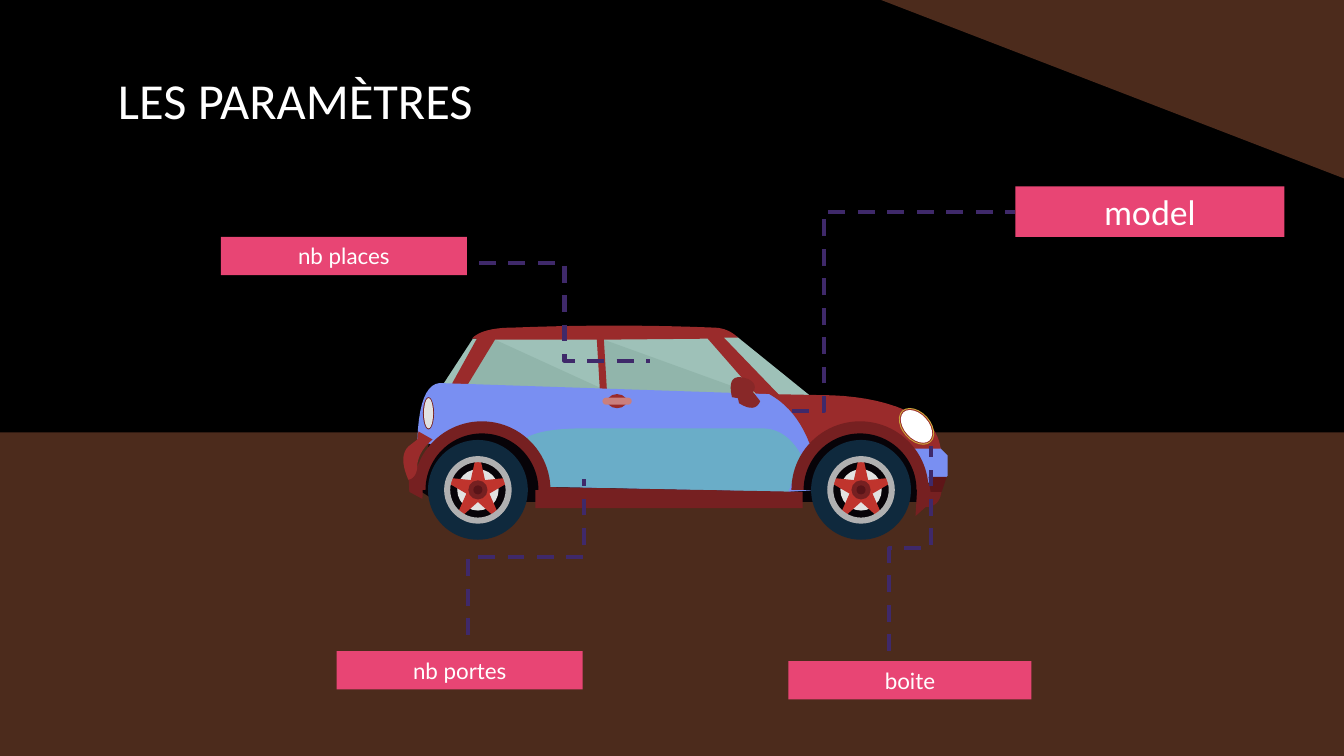
"""Build the slide that labels the parameters of a car."""
from math import cos, pi, sin

from lxml.etree import SubElement
from pptx import Presentation
from pptx.dml.color import RGBColor
from pptx.enum.dml import MSO_LINE
from pptx.enum.shapes import MSO_CONNECTOR, MSO_SHAPE
from pptx.enum.text import MSO_ANCHOR, PP_ALIGN
from pptx.oxml.ns import qn
from pptx.util import Inches, Pt

BLACK = RGBColor.from_string("000000")
WHITE = RGBColor.from_string("FFFFFF")
ORANGE = RGBColor.from_string("EE875A")
PINK = RGBColor.from_string("E84574")
PURPLE = RGBColor.from_string("3F296A")
INK = RGBColor.from_string("070308")
GLASS = RGBColor.from_string("9EC1B8")
GLASS_SHADE = RGBColor.from_string("91B5AB")
MAROON = RGBColor.from_string("762021")
RED = RGBColor.from_string("9A2B2B")
MIRROR_RED = RGBColor.from_string("882828")
BUMPER_RED = RGBColor.from_string("5E1618")
HUB_RED = RGBColor.from_string("591418")
STAR_RED = RGBColor.from_string("C0342D")
BLUE = RGBColor.from_string("798FF2")
DOOR_BLUE = RGBColor.from_string("6AADC8")
TYRE = RGBColor.from_string("0F293D")
SILVER = RGBColor.from_string("B0B0B1")
LIGHT_GREY = RGBColor.from_string("E2E2E1")
GOLD = RGBColor.from_string("CEAC3B")
ROSE = RGBColor.from_string("CA7F7D")

CURVE_STEPS = 10
SPOKES = 5
WHEEL_Y = 4.86
WHEELS = [(4.74, 4.78), (8.54, 8.53)]

BODY_PARTS = [
    (INK, [(4.3, 4.2), (4.15, 4.86), (4.34, 4.98), (9.12, 4.98), (9.1, 4.3)]),
    (GLASS, [(4.69, 3.36), (4.39, 3.82), (8.04, 3.93), (7.31, 3.34)]),
    (GLASS_SHADE, [(4.91, 3.37), (4.6, 3.83), (7.35, 4.06), (7.51, 3.92), (5.99, 3.37),
                   (5.98, 3.86)]),
    (RED, [(4.47, 3.83), (4.73, 3.36), (4.68, 3.36), (4.78, 3.25, 5.1, 3.25),
           (6.1, 3.21, 7.07, 3.25), (7.22, 3.25, 7.32, 3.35), (7.18, 3.35), (7.73, 3.92),
           (7.51, 3.92), (7.02, 3.36), (5.99, 3.37), (6.02, 3.87), (5.95, 3.87),
           (5.92, 3.37), (4.91, 3.37), (4.63, 3.83)]),
    (BLUE, [(4.36, 3.8), (4.16, 3.82, 4.14, 4.36), (5.45, 4.83), (7.82, 4.88), (9.34, 4.78),
            (9.4, 4.72), (9.4, 4.52), (9.33, 4.45), (9.14, 4.15), (7.63, 3.91)]),
    (DOOR_BLUE, [(5.21, 4.35), (5.36, 4.25, 5.8, 4.25), (7.56, 4.25), (7.8, 4.25, 7.95, 4.52),
                 (7.82, 4.88), (5.45, 4.83)]),
    (RED, [(7.63, 3.91), (7.9, 4.06, 8.03, 4.4), (8.53, 4.45), (9.33, 4.45),
           (9.3, 4.25, 9.14, 4.15), (8.75, 3.92, 8.13, 3.92)]),
    (MAROON, [(5.31, 5.04), (7.96, 5.04), (7.96, 4.88), (5.31, 4.83)]),
    (MAROON, [(4.05, 4.7), (4.06, 4.88), (4.19, 4.95), (4.2, 4.6)]),
    (MAROON, [(9.1, 4.8), (9.08, 5.12), (9.18, 5.03), (9.35, 5.03, 9.34, 4.8)]),
    (BUMPER_RED, [(9.21, 4.73), (9.23, 4.88), (9.34, 4.88), (9.39, 4.73)]),
    (MIRROR_RED, [(7.26, 3.94), (7.2, 3.68, 7.42, 3.76), (7.52, 3.81, 7.47, 3.89),
                  (7.54, 3.98), (7.49, 4.1, 7.33, 4), (7.32, 3.95)]),
]
REAR_BUMPER = [(4.15, 4.28), (4.14, 4.36), (4.05, 4.43), (3.95, 4.53, 4.05, 4.76),
               (4.14, 4.74, 4.14, 4.6), (4.16, 4.47, 4.29, 4.36)]
LABELS = [
    ("nb places", (2.19, 2.35, 2.44, 0.38), 16),
    ("nb portes", (3.34, 6.46, 2.44, 0.38), 16),
    ("boite", (7.82, 6.56, 2.41, 0.38), 16),
    ("model", (10.07, 1.85, 2.67, 0.5), 24),
]


def write_text(shape, text, size, font, align=PP_ALIGN.LEFT, color=WHITE):
    """Put one formatted line of text in the middle of a shape."""
    frame = shape.text_frame
    frame.word_wrap = True
    frame.vertical_anchor = MSO_ANCHOR.MIDDLE
    frame.margin_left = frame.margin_right = Inches(0.13)
    frame.margin_top = frame.margin_bottom = Inches(0.13)
    paragraph = frame.paragraphs[0]
    paragraph.alignment = align
    run = paragraph.add_run()
    run.text = text
    run.font.size, run.font.name = Pt(size), font
    run.font.color.rgb = color


def flatten(outline):
    """Return the points of an outline, sampling each curve given as control and end."""
    points = []
    for segment in outline:
        if len(segment) == 2:
            points.append(segment)
            continue
        start, control, end = points[-1], segment[:2], segment[2:]
        for step in range(1, CURVE_STEPS + 1):
            t = step / CURVE_STEPS
            points.append(tuple((1 - t) ** 2 * a + 2 * t * (1 - t) * b + t * t * c
                                for a, b, c in zip(start, control, end)))
    return points


def spoke_star(x, y):
    """Return the outline of a wheel's blunt five-pointed star."""
    corners = []
    for spoke in range(SPOKES):
        middle = 2 * pi * spoke / SPOKES - pi / 2
        for radius, turn in ((0.29, -0.1), (0.29, 0.1), (0.12, pi / SPOKES)):
            corners.append((x + radius * cos(middle + turn), y + radius * sin(middle + turn)))
    return corners


class SlidePainter:
    """Draw flat shapes, labels and dashed leaders on one slide."""

    def __init__(self, slide):
        self.slide = slide
        self.shapes = slide.shapes

    def paint(self, shape, color):
        shape.shadow.inherit = False
        shape.fill.solid()
        shape.fill.fore_color.rgb = color
        shape.line.fill.background()
        return shape

    def preset(self, kind, box, color, opacity=None):
        shape = self.paint(self.shapes.add_shape(kind, *map(Inches, box)), color)
        if opacity is not None:
            solid = shape._element.spPr.find(qn("a:solidFill"))
            SubElement(solid[0], qn("a:alpha")).set("val", str(opacity * 1000))
        return shape

    def outline(self, segments, color):
        points = [(Inches(x), Inches(y)) for x, y in flatten(segments)]
        builder = self.shapes.build_freeform(*points[0])
        builder.add_line_segments(points[1:], close=True)
        return self.paint(builder.convert_to_shape(), color)

    def disc(self, x, y, width, color, height=None, kind=MSO_SHAPE.OVAL):
        height = height or width
        return self.preset(kind, (x - width / 2, y - height / 2, width, height), color)

    def arch(self, x):
        for size, color in ((1.36, MAROON), (1.12, INK)):
            half = self.disc(x, WHEEL_Y, size, color, kind=MSO_SHAPE.BLOCK_ARC)
            half.adjustments[2] = 0.5

    def wheel(self, x):
        for size, color in ((0.99, TYRE), (0.63, INK), (0.41, LIGHT_GREY)):
            self.disc(x, WHEEL_Y, size, color)
        self.outline(spoke_star(x, WHEEL_Y), STAR_RED)
        self.disc(x, WHEEL_Y, 0.67, SILVER, kind=MSO_SHAPE.DONUT).adjustments[0] = 0.09
        for size, color in ((0.19, MAROON), (0.09, HUB_RED)):
            self.disc(x, WHEEL_Y, size, color)

    def label(self, text, box, size):
        shape = self.preset(MSO_SHAPE.RECTANGLE, box, PINK)
        write_text(shape, text, size=size, font="Lato", align=PP_ALIGN.CENTER)

    def leader(self, start, end, upright=False, bend=50):
        (x1, y1), (x2, y2) = start, end
        if upright:
            x, y, half_width, half_height = (x1 + x2) / 2, (y1 + y2) / 2, (y1 - y2) / 2, (x2 - x1) / 2
            x1, y1, x2, y2 = x - half_width, y - half_height, x + half_width, y + half_height
        connector = self.shapes.add_connector(MSO_CONNECTOR.ELBOW, *map(Inches, (x1, y1, x2, y2)))
        connector.line.color.rgb = PURPLE
        connector.line.width = Pt(3)
        connector.line.dash_style = MSO_LINE.DASH
        properties = connector._element.spPr
        if upright:
            properties.find(qn("a:xfrm")).set("rot", str(270 * 60000))
        guides = properties.find(qn("a:prstGeom")).find(qn("a:avLst"))
        guide = SubElement(guides, qn("a:gd"))
        guide.set("name", "adj1")
        guide.set("fmla", f"val {bend * 1000}")
        SubElement(properties, qn("a:effectLst"))

    def car(self):
        self.shapes = self.slide.shapes.add_group_shape().shapes
        for color, segments in BODY_PARTS:
            self.outline(segments, color)
        for wheel_x, arch_x in WHEELS:
            self.arch(arch_x)
            self.wheel(wheel_x)
        self.outline(REAR_BUMPER, RED)
        for trim, color in ((0, GOLD), (0.02, RED), (0.04, WHITE)):
            self.disc(9.09, 4.23, 0.42 - trim, color, height=0.28 - trim).rotation = 48
        self.disc(4.25, 4.1, 0.11, MAROON, height=0.32)
        self.disc(4.25, 4.1, 0.09, LIGHT_GREY, height=0.3)
        self.disc(6.12, 3.98, 0.19, RED, height=0.14)
        handle = self.disc(6.12, 3.98, 0.29, ROSE, height=0.07, kind=MSO_SHAPE.ROUNDED_RECTANGLE)
        handle.adjustments[0] = 0.5
        self.shapes = self.slide.shapes


def main():
    presentation = Presentation()
    presentation.slide_width, presentation.slide_height = Inches(13.33), Inches(7.5)
    slide = presentation.slides.add_slide(presentation.slide_layouts[6])
    slide.background.fill.solid()
    slide.background.fill.fore_color.rgb = BLACK
    painter = SlidePainter(slide)
    painter.preset(MSO_SHAPE.RECTANGLE, (0, 4.29, 13.33, 3.21), ORANGE, opacity=32)
    corner = painter.preset(MSO_SHAPE.RIGHT_TRIANGLE, (8.74, 0, 4.59, 1.77), ORANGE, opacity=32)
    corner.rotation = 180
    painter.car()
    title = slide.shapes.add_textbox(*map(Inches, (1.04, 0.57, 11.25, 0.84)))
    write_text(title, "LES PARAMÈTRES", size=36, font="Calibri")
    for text, box, size in LABELS:
        painter.label(text, box, size)
    painter.leader((8.82, 6.46), (9.23, 4.42), upright=True)
    painter.leader((4.75, 2.61), (6.45, 3.58))
    painter.leader((4.64, 6.3), (5.79, 4.75), upright=True)
    painter.leader((7.86, 4.08), (10.07, 2.1), bend=14)
    presentation.save("out.pptx")


if __name__ == "__main__":
    main()
